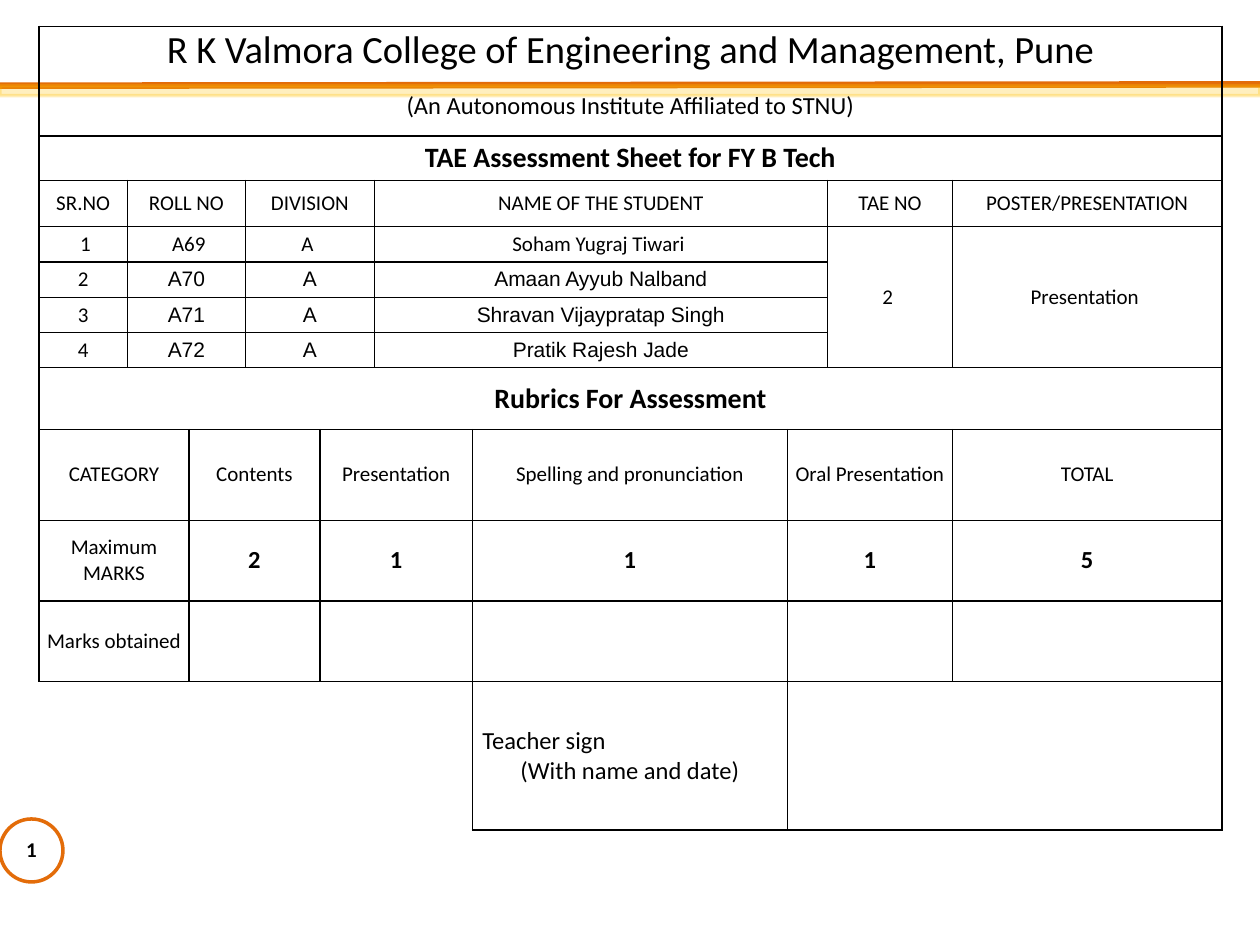
import pptx
import pptx.util
import pptx.dml.color
import pptx.enum.shapes
import pptx.enum.text
import pptx.oxml
import pptx.oxml.ns

Inches, Pt = pptx.util.Inches, pptx.util.Pt
ALIGN, ANCHOR = pptx.enum.text.PP_ALIGN, pptx.enum.text.MSO_ANCHOR
SHAPE = pptx.enum.shapes.MSO_SHAPE
sub = pptx.oxml.ns.qn

# Content: one list per table row, each entry (text, columns, rows, style)
def pupil(num, roll, part, name, style, *rest):
    return [(num, 1, 1, "text"), (roll, 2, 1, style), (part, 2, 1, style),
            (name, 3, 1, style), *rest]


def marks(texts, style):
    spans = (2, 2, 2, 1, 2, 1)
    styles = ["text"] + [style] * 5
    return [(text, span, 1, look) for text, span, look in zip(texts, spans, styles)]


BLANK = [("", 2, 1, "bare"), ("", 2, 1, "bare"), ("", 2, 1, "bare")]
ROWS = [
    [("R K Valmora College of Engineering and Management, Pune\n"
      "(An Autonomous Institute Affiliated to STNU)", 10, 1, "top")],
    [("TAE Assessment Sheet for FY B Tech", 10, 1, "head")],
    pupil("SR.NO", "ROLL NO", "DIVISION", "NAME OF THE STUDENT", "text",
          ("TAE NO", 1, 1, "text"), ("POSTER/PRESENTATION", 1, 1, "text")),
    pupil(" 1", " A69", "A ", "Soham Yugraj Tiwari ", "text",
          ("2 ", 1, 4, "text"), ("Presentation ", 1, 4, "text")),
    pupil("2", "A70", "A", "Amaan Ayyub Nalband", "name"),
    pupil("3", "A71", "A", "Shravan Vijaypratap Singh", "name"),
    pupil("4", "A72", "A", "Pratik Rajesh Jade", "name"),
    [("Rubrics For Assessment", 10, 1, "head")],
    marks(["CATEGORY", "Contents", "Presentation", "Spelling and pronunciation",
           "Oral Presentation", "TOTAL"], "text"),
    marks(["Maximum MARKS", "2", "1", "1", "1", "5"], "mark"),
    marks(["Marks obtained", "", "", "", "", ""], "text"),
    BLANK + [("Teacher sign\n(With name and date)", 1, 2, "sign"), ("", 3, 2, "text")],
    BLANK,
]
WIDTHS = [0.7, 0.49, 0.45, 0.59, 0.43, 0.78, 2.5, 0.32, 0.99, 2.14]
HEIGHTS = [0.87, 0.35, 0.37] + [0.28] * 4 + [0.49, 0.72, 0.64, 0.64, 0.59, 0.59]
LEFT, TOP = 0.31, 0.21

# Theme: styles are (font, sizes by paragraph, bold)
THEME = {
    "ink": "000000", "rust": "E36C09", "gold": "FFC000",
    "thin": 0.75, "thick": 1,
    "top": ("Calibri", (22, 14), False),
    "head": ("Calibri", (16,), True),
    "text": ("Calibri", (12,), False),
    "name": ("Arial", (12,), False),
    "mark": ("Calibri", (14,), True),
    "sign": ("Calibri", (14, 14), False),
    "bare": ("Calibri", (12,), False),
    "page": ("Calibri", (12,), True),
}


def tint(name):
    return pptx.dml.color.RGBColor.from_string(THEME[name])


def write(frame, text, style):
    font, sizes, bold = THEME[style]
    frame.text = text
    for para, size in zip(frame.paragraphs, sizes):
        para.alignment = ALIGN.CENTER
        for run in para.runs:
            run.font.name, run.font.size, run.font.bold = font, Pt(size), bold
            run.font.color.rgb = tint("ink")


def fade(fill, share):
    color = fill._xPr.find(".//" + sub("a:srgbClr"))
    alpha = color.makeelement(sub("a:alpha"), {"val": str(share * 1000)})
    color.append(alpha)


def border(cell, sides):
    """Draw the four sides of a cell; a width of 0 leaves a side open."""
    props = cell._tc.get_or_add_tcPr()
    for spot, (side, width) in enumerate(sides.items()):
        paint = (f'<a:solidFill><a:srgbClr val="{THEME["ink"]}"/></a:solidFill>'
                 if width else "<a:noFill/>")
        props.insert(spot, pptx.oxml.parse_xml(
            f'<a:ln{side} xmlns:a="http://schemas.openxmlformats.org/drawingml/2006/main"'
            f' w="{Pt(width)}">{paint}</a:ln{side}>'))


def edges(row, col, high, wide, style):
    """Outer edges and the lines around the mark rows are thick."""
    thin, thick = THEME["thin"], THEME["thick"]
    last = col + wide
    if style == "bare":
        return {"L": 0, "R": thick if last == 6 else 0,
                "T": thick if row == 11 else 0, "B": 0}
    return {"L": thick if col == 0 or style == "sign" else thin,
            "R": thick if last == len(WIDTHS) else thin,
            "T": thick if row == 0 or row > 9 else thin,
            "B": thick if row > 8 else thin}


def band(slide):
    line = slide.shapes.add_connector(
        pptx.enum.shapes.MSO_CONNECTOR.STRAIGHT,
        Inches(0), Inches(0.68), Inches(10), Inches(0.67))
    line.line.color.rgb, line.line.width = tint("rust"), Pt(3.75)
    props = line._element.spPr
    props.append(props.makeelement(sub("a:effectLst"), {}))

    bar = slide.shapes.add_shape(
        SHAPE.RECTANGLE, Inches(0), Inches(0.68), Inches(10), Inches(0.08))
    bar.shadow.inherit = False
    bar.fill.solid()
    bar.fill.fore_color.rgb = tint("gold")
    fade(bar.fill, 25)
    bar.line.color.rgb, bar.line.width = tint("gold"), Pt(2)
    fade(bar.line.fill, 27)


def badge(slide):
    ring = slide.shapes.add_shape(
        SHAPE.OVAL, Inches(0), Inches(6.5), Inches(0.5), Inches(0.5))
    ring.shadow.inherit = False
    ring.fill.background()
    ring.line.color.rgb, ring.line.width = tint("rust"), Pt(2)
    box = slide.shapes.add_textbox(
        Inches(-0.1), Inches(6.59), Inches(0.7), Inches(0.3))
    box.text_frame.word_wrap = True
    write(box.text_frame, "1", "page")


def sheet(slide):
    table = slide.shapes.add_table(
        len(ROWS), len(WIDTHS), Inches(LEFT), Inches(TOP),
        Inches(sum(WIDTHS)), Inches(sum(HEIGHTS))).table
    table.first_row = table.horz_banding = False
    for column, width in zip(table.columns, WIDTHS):
        column.width = Inches(width)
    for line, height in zip(table.rows, HEIGHTS):
        line.height = Inches(height)
    for cell in table.iter_cells():
        cell.fill.background()
        cell.margin_left = cell.margin_right = 0
        cell.margin_top = cell.margin_bottom = 0
        cell.vertical_anchor = ANCHOR.MIDDLE

    for row, parts in enumerate(ROWS):
        col = 0
        for text, wide, high, style in parts:
            cell = table.cell(row, col)
            if wide * high > 1:
                cell.merge(table.cell(row + high - 1, col + wide - 1))
            write(cell.text_frame, text, style)
            border(cell, edges(row, col, high, wide, style))
            if style == "top":
                cell.vertical_anchor = ANCHOR.TOP
                cell.text_frame.paragraphs[0].space_after = Pt(10)
            elif style == "sign":
                cell.margin_left = cell.margin_right = Inches(0.08)
                cell.text_frame.paragraphs[0].alignment = ALIGN.LEFT
            col += wide


def main():
    deck = pptx.Presentation()
    deck.slide_width, deck.slide_height = Inches(10), Inches(7.5)
    slide = deck.slides.add_slide(deck.slide_layouts[6])
    band(slide)
    badge(slide)
    sheet(slide)
    deck.save("out.pptx")


if __name__ == "__main__":
    main()
